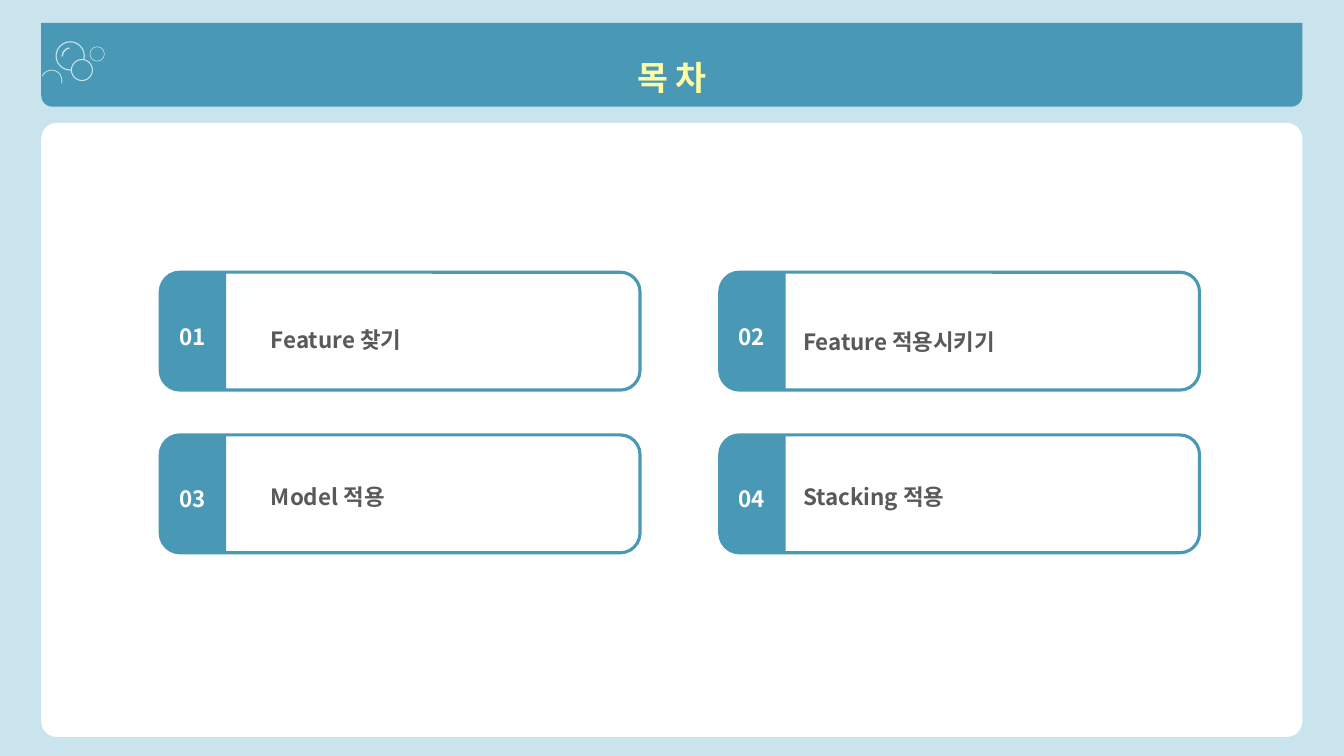
from dataclasses import dataclass
from math import cos, radians, sin

from lxml.etree import SubElement
from pptx import Presentation
from pptx.dml.color import RGBColor
from pptx.enum.shapes import MSO_SHAPE as Preset
from pptx.enum.text import MSO_ANCHOR as Anchor, MSO_AUTO_SIZE as AutoSize, PP_ALIGN as Align
from pptx.oxml.ns import qn
from pptx.shapes.autoshape import Shape
from pptx.shapes.shapetree import GroupShapes
from pptx.text.text import TextFrame
from pptx.util import Cm, Pt


@dataclass(frozen=True)
class Theme:
    font: str = "Noto Sans CJK KR"
    sky: RGBColor = RGBColor(0xC9, 0xE4, 0xED)
    teal: RGBColor = RGBColor(0x49, 0x99, 0xB6)
    white: RGBColor = RGBColor(0xFF, 0xFF, 0xFF)
    cream: RGBColor = RGBColor(0xFE, 0xFD, 0xA3)
    grey: RGBColor = RGBColor(0x59, 0x59, 0x59)
    title_size: Pt = Pt(24)
    body_size: Pt = Pt(16)
    card_line: Pt = Pt(2.25)
    bubble_line: Pt = Pt(0.75)


@dataclass(frozen=True)
class Box:
    """A rectangle in centimetres."""
    left: float
    top: float
    width: float
    height: float

    def emu(self) -> tuple[Cm, Cm, Cm, Cm]:
        return Cm(self.left), Cm(self.top), Cm(self.width), Cm(self.height)


@dataclass(frozen=True)
class Bubble:
    preset: Preset
    box: Box
    adjustments: tuple[float, ...]


@dataclass(frozen=True)
class Topic:
    number: str
    label: str
    indent: float
    drop: float


THEME = Theme()
PANEL = Box(1.04, 3.1, 31.78, 15.47)
BANNER = Box(1.04, 0.58, 31.78, 2.11)
TITLE = Box(1.04, 1.2, 31.78, 1.5)

BUBBLES = [
    Bubble(Preset.DONUT, Box(1.4, 1.04, 0.74, 0.74), (0.038,)),
    Bubble(Preset.BLOCK_ARC, Box(1.55, 1.19, 0.46, 0.46), (108, 157.413, 0.076)),
    Bubble(Preset.DONUT, Box(2.26, 1.17, 0.38, 0.38), (0.038,)),
]
FRONT_BUBBLE = Box(1.8, 1.5, 0.53, 0.53)

TOPICS = [
    Topic("01", "Feature 찾기", 2.54, 0.89),
    Topic("02", "Feature 적용시키기", 1.85, 0.94),
    Topic("03", "Model 적용", 2.54, 0.76),
    Topic("04", "Stacking 적용", 1.85, 0.76),
]
COLUMNS = 2
FIRST_CARD = Box(4.04, 6.86, 12.09, 2.97)
COLUMN_PITCH, ROW_PITCH = 14.1, 4.1
TAB_WIDTH = 1.66


def paint(shape: Shape, fill: RGBColor, line: RGBColor | None = None, weight: Pt = Pt(0)) -> None:
    shape.shadow.inherit = False
    shape.fill.solid()
    shape.fill.fore_color.rgb = fill
    if line is None:
        shape.line.fill.background()
    else:
        shape.line.color.rgb = line
        shape.line.width = weight


def add_preset(shapes: GroupShapes, preset: Preset, box: Box, adjustments: tuple[float, ...] = ()) -> Shape:
    shape = shapes.add_shape(preset, *box.emu())
    for index, value in enumerate(adjustments):
        shape.adjustments[index] = value
    return shape


def write(frame: TextFrame, text: str, size: Pt, color: RGBColor) -> None:
    frame.text = text
    for span in frame.paragraphs[0].runs:
        span.font.name = THEME.font
        span.font.size = size
        span.font.bold = True
        span.font.color.rgb = color
        east_asian = SubElement(span.font._element, qn("a:ea"))
        east_asian.set("typeface", THEME.font)


def add_label(shapes: GroupShapes, box: Box, text: str, color: RGBColor, wrap: bool) -> TextFrame:
    frame = shapes.add_textbox(*box.emu()).text_frame
    frame.word_wrap = wrap
    frame.auto_size = AutoSize.SHAPE_TO_FIT_TEXT
    write(frame, text, THEME.body_size, color)
    return frame


def add_cut_bubble(shapes: GroupShapes) -> None:
    """Draw the thin ring that the banner's left edge cuts off."""
    def arc(radius: float, angles: range) -> list[tuple[int, int]]:
        return [(Cm(1.3 + radius * cos(radians(a))), Cm(2.03 + radius * sin(radians(a)))) for a in angles]

    points = arc(0.27, range(15, -156, -5)) + arc(0.25, range(-155, 16, 5))
    builder = shapes.build_freeform(*points[0])
    builder.add_line_segments(points[1:], close=True)
    paint(builder.convert_to_shape(), THEME.sky)


def add_header(shapes: GroupShapes) -> None:
    paint(add_preset(shapes, Preset.ROUND_2_SAME_RECTANGLE, BANNER, (0, 0.134)), THEME.teal)
    for bubble in BUBBLES:
        paint(add_preset(shapes, bubble.preset, bubble.box, bubble.adjustments), THEME.sky)
    paint(add_preset(shapes, Preset.OVAL, FRONT_BUBBLE), THEME.teal, THEME.sky, THEME.bubble_line)
    add_cut_bubble(shapes)


def add_card(shapes: GroupShapes, topic: Topic, card: Box) -> None:
    frame = add_preset(shapes, Preset.ROUNDED_RECTANGLE, card, (0.167,))
    paint(frame, THEME.white, THEME.teal, THEME.card_line)

    # The tab lies on its side, so its box is given before the quarter turn.
    shift = (card.height - TAB_WIDTH) / 2
    tab_box = Box(card.left - shift, card.top + shift, card.height, TAB_WIDTH)
    tab = add_preset(shapes, Preset.ROUND_2_SAME_RECTANGLE, tab_box, (0.328, 0))
    tab.rotation = 270
    paint(tab, THEME.teal)

    number_box = Box(card.left + 0.23, card.top + 1.15, 1.18, 0.94)
    add_label(shapes, number_box, topic.number, THEME.white, wrap=False)
    label_box = Box(card.left + topic.indent, card.top + topic.drop, 9.09, 1.27)
    label = add_label(shapes, label_box, topic.label, THEME.grey, wrap=True)
    label.paragraphs[0].line_spacing = 1.5


def main() -> None:
    deck = Presentation()
    deck.slide_width, deck.slide_height = Cm(33.87), Cm(19.05)
    page = deck.slides.add_slide(deck.slide_layouts[5])
    page.background.fill.solid()
    page.background.fill.fore_color.rgb = THEME.sky

    paint(add_preset(page.shapes, Preset.ROUNDED_RECTANGLE, PANEL, (0.025,)), THEME.white)
    add_header(page.shapes.add_group_shape().shapes)

    title = page.shapes.title
    title.left, title.top, title.width, title.height = TITLE.emu()
    title.text_frame.vertical_anchor = Anchor.MIDDLE
    write(title.text_frame, "목 차", THEME.title_size, THEME.cream)
    title.text_frame.paragraphs[0].alignment = Align.CENTER
    page.shapes.element.append(title.element)  # bring in front of the banner

    for index, topic in enumerate(TOPICS):
        row, column = divmod(index, COLUMNS)
        card = Box(FIRST_CARD.left + column * COLUMN_PITCH, FIRST_CARD.top + row * ROW_PITCH,
                   FIRST_CARD.width, FIRST_CARD.height)
        add_card(page.shapes.add_group_shape().shapes, topic, card)

    deck.save("out.pptx")


if __name__ == "__main__":
    main()
